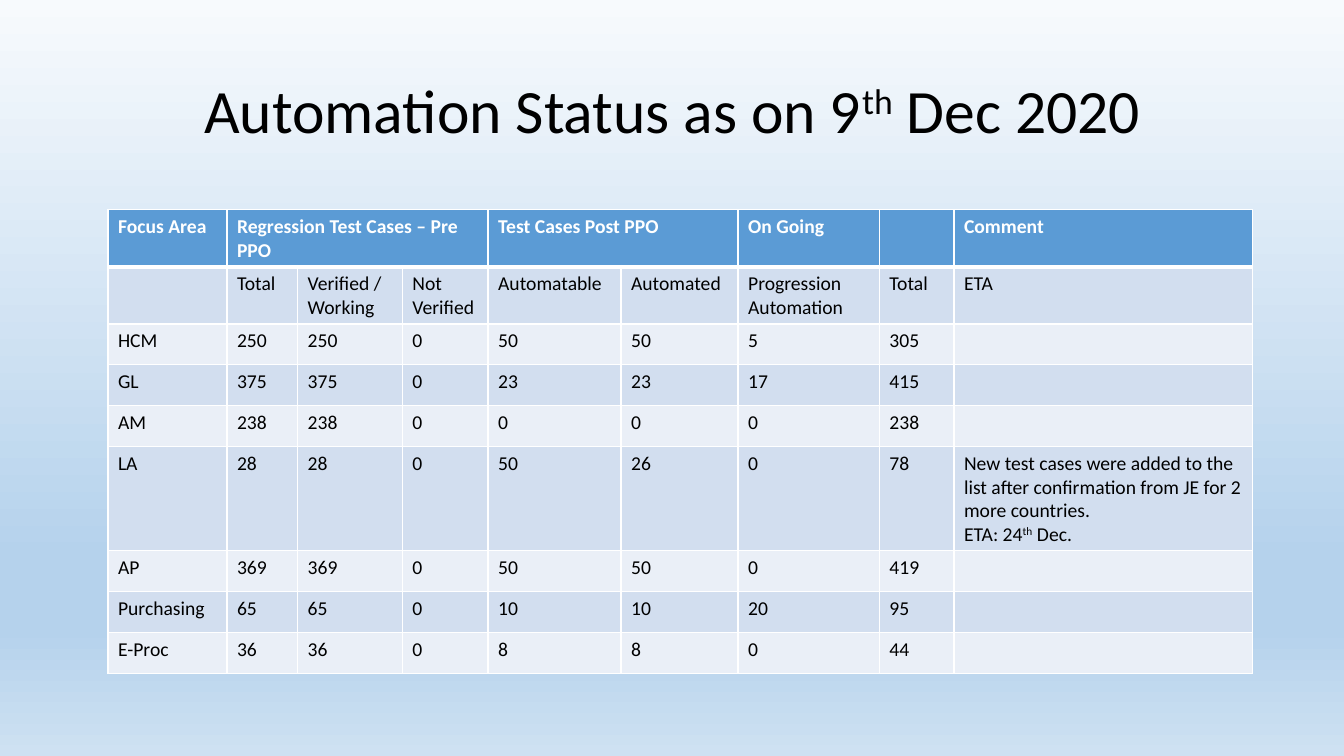
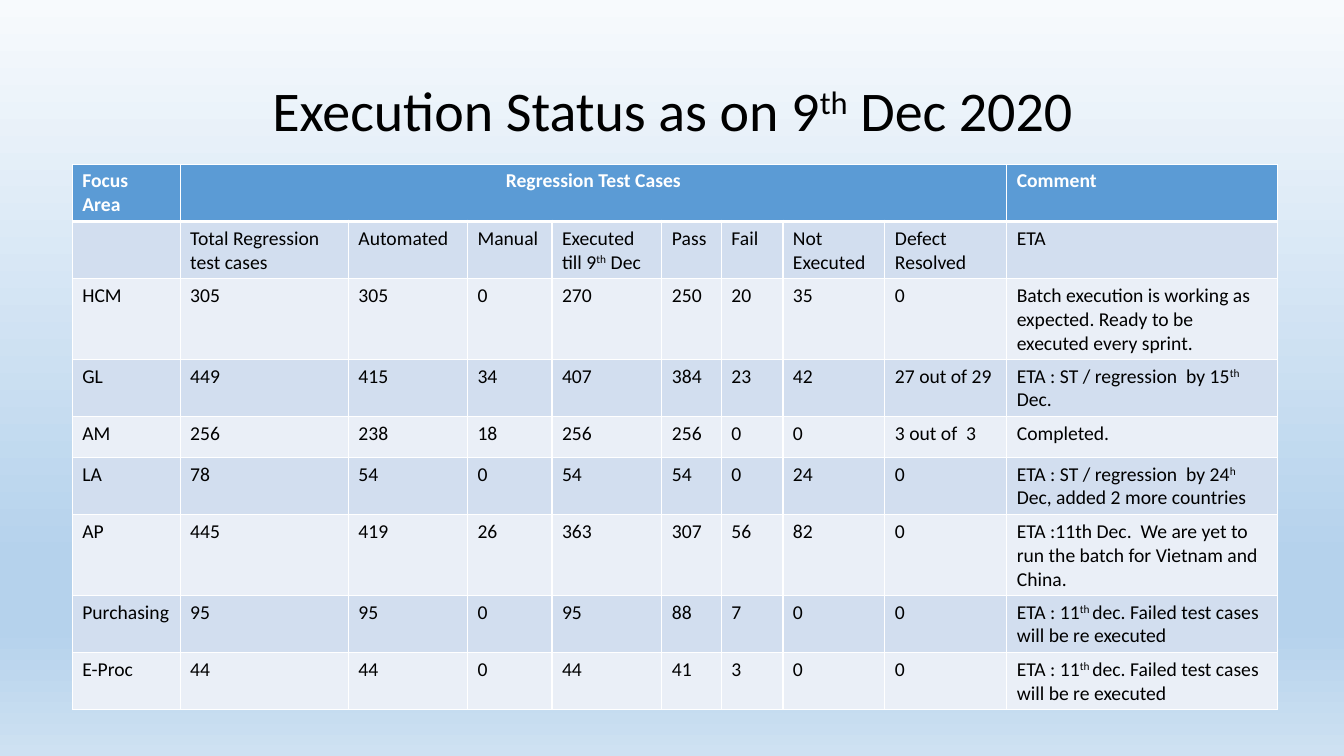
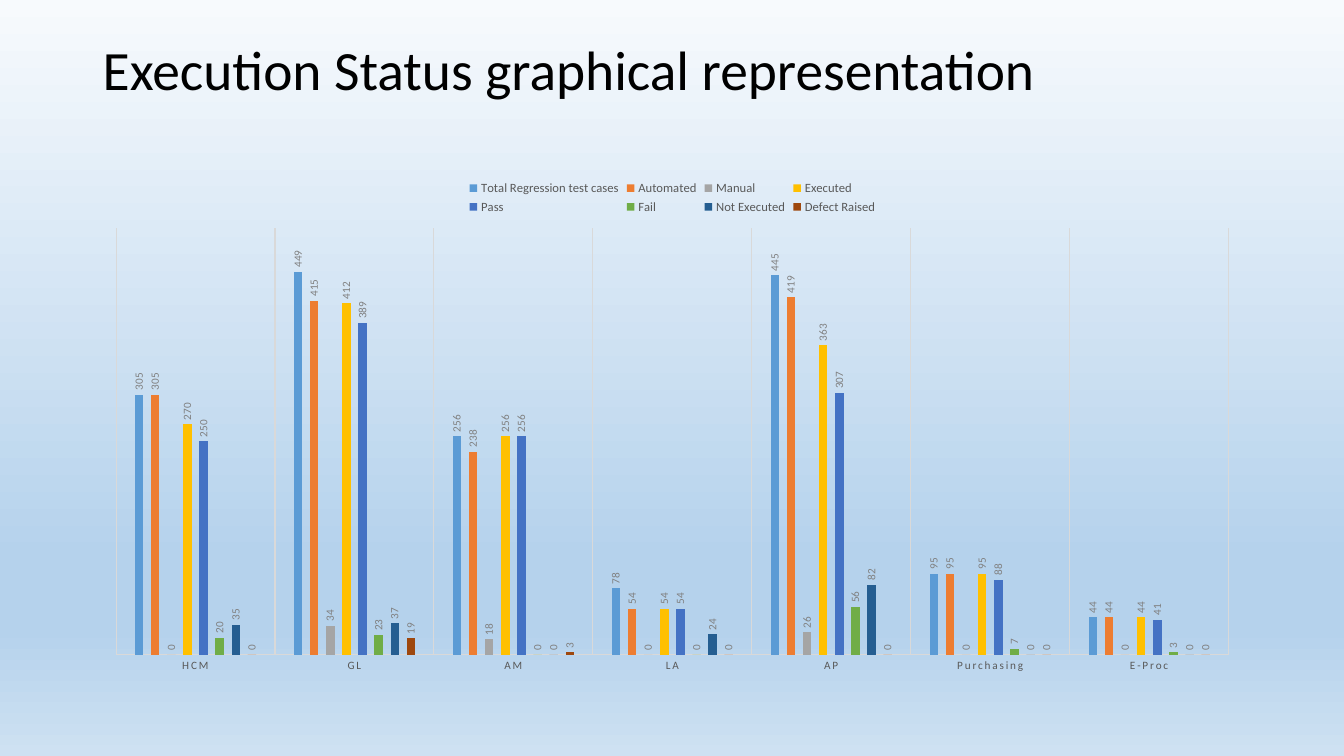
from dataclasses import dataclass

from lxml import etree
from pptx import Presentation
from pptx.chart.data import CategoryChartData
from pptx.dml.color import RGBColor
from pptx.enum.chart import XL_CHART_TYPE, XL_LABEL_POSITION, XL_LEGEND_POSITION, XL_TICK_MARK
from pptx.enum.text import MSO_ANCHOR, PP_ALIGN
from pptx.oxml.ns import qn
from pptx.util import Cm, Pt

LEFT, CENTER = PP_ALIGN.LEFT, PP_ALIGN.CENTER
MIDDLE = MSO_ANCHOR.MIDDLE
COLUMNS = XL_CHART_TYPE.COLUMN_CLUSTERED
OUTSIDE_END = XL_LABEL_POSITION.OUTSIDE_END
LEGEND_TOP = XL_LEGEND_POSITION.TOP
NO_TICKS = XL_TICK_MARK.NONE


@dataclass(frozen=True)
class Theme:
    """Colours, type sizes and rule widths of the presentation."""
    font: str = "Calibri"
    text: str = "000000"
    white: str = "FFFFFF"
    header: str = "5B9BD5"
    bands: tuple = ("D2DEEF", "EAEFF7")
    background: tuple = ((0, "F7FAFD"), (74, "B5D2EC"), (83, "B5D2EC"), (100, "CEE1F2"))
    series: tuple = ("5B9BD5", "ED7D31", "A5A5A5", "FFC000",
                     "4472C4", "70AD47", "255E91", "9E480E")
    axis_text: str = "595959"
    label_text: str = "808080"
    grid: str = "D9D9D9"
    table_size: float = 14
    chart_size: float = 10
    legend_size: float = 9
    label_size: float = 8
    rule: float = 1
    header_rule: float = 3
    grid_rule: float = 0.75


THEME = Theme()
TITLE_BOX = (2.34, 1.02, 29.21, 3.68)
ROW_HEIGHT = 1.03

AUTOMATION_WIDTHS = (3, 1.78, 2.64, 2.16, 3.35, 2.95, 3.56, 1.88, 7.52)
AUTOMATION_HEADER = (
    ("Focus Area", 1, LEFT), ("Regression Test Cases – Pre PPO", 3, LEFT),
    ("Test Cases Post PPO", 2, LEFT), ("On Going", 1, LEFT), ("", 1, LEFT),
    ("Comment", 1, LEFT),
)
AUTOMATION_ROWS = (
    ("", "Total", "Verified / Working", "Not Verified", "Automatable", "Automated",
     "Progression Automation", "Total", "ETA"),
    ("HCM", 250, 250, 0, 50, 50, 5, 305, ""),
    ("GL", 375, 375, 0, 23, 23, 17, 415, ""),
    ("AM", 238, 238, 0, 0, 0, 0, 238, ""),
    ("LA", 28, 28, 0, 50, 26, 0, 78,
     "New test cases were added to the list after confirmation from JE for 2 more "
     "countries.\nETA: 24^th^ Dec."),
    ("AP", 369, 369, 0, 50, 50, 0, 419, ""),
    ("Purchasing", 65, 65, 0, 10, 10, 20, 95, ""),
    ("E-Proc", 36, 36, 0, 8, 8, 0, 44, ""),
)

EXECUTION_WIDTHS = (2.72, 4.24, 3, 2.13, 2.77, 1.5, 1.55, 2.57, 3.07, 6.83)
EXECUTION_HEADER = (
    ("Focus Area", 1, LEFT), ("Regression Test Cases", 8, CENTER), ("Comment", 1, LEFT),
)
RERUN = "ETA : 11^th ^dec. Failed test cases will be re executed"
EXECUTION_ROWS = (
    ("", "Total Regression test cases", "Automated", "Manual", "Executed till 9^th^ Dec",
     "Pass", "Fail", "Not Executed", "Defect Resolved", "ETA"),
    ("HCM", 305, 305, 0, 270, 250, 20, 35, 0,
     "Batch execution is working as expected. Ready to be executed every sprint."),
    ("GL", 449, 415, 34, 407, 384, 23, 42, "27 out of 29",
     "ETA : ST / regression  by 15^th^ Dec."),
    ("AM", 256, 238, 18, 256, 256, 0, 0, "3 out of  3", "Completed."),
    ("LA", 78, 54, 0, 54, 54, 0, 24, 0,
     "ETA : ST / regression  by 24^h^ Dec, added 2 more countries"),
    ("AP", 445, 419, 26, 363, 307, 56, 82, 0,
     "ETA :11th Dec.  We are yet to run the batch for Vietnam and China."),
    ("Purchasing", 95, 95, 0, 95, 88, 7, 0, 0, RERUN),
    ("E-Proc", 44, 44, 0, 44, 41, 3, 0, 0, RERUN),
)

AREAS = ("HCM", "GL", "AM", "LA", "AP", "Purchasing", "E-Proc")
EXECUTION_SERIES = {
    "Total Regression test cases": (305, 449, 256, 78, 445, 95, 44),
    "Automated": (305, 415, 238, 54, 419, 95, 44),
    "Manual": (0, 34, 18, 0, 26, 0, 0),
    "Executed": (270, 412, 256, 54, 363, 95, 44),
    "Pass": (250, 389, 256, 54, 307, 88, 41),
    "Fail": (20, 23, 0, 0, 56, 7, 3),
    "Not Executed": (35, 37, 0, 24, 82, 0, 0),
    "Defect Raised": (0, 19, 3, 0, 0, 0, 0),
}


def set_values(target, values):
    """Set each named attribute of the target."""
    for name, value in values.items():
        setattr(target, name, value)


def set_font(font, size, color, bold=False):
    """Give a font the theme face with a size, colour and weight."""
    set_values(font, {"name": THEME.font, "size": Pt(size), "bold": bold})
    font.color.rgb = RGBColor.from_string(color)


def set_line(line, color, width):
    """Give a line a colour and a width in points."""
    line.color.rgb = RGBColor.from_string(color)
    line.width = Pt(width)


def add_color(parent, color):
    """Append an RGB colour element."""
    etree.SubElement(parent, qn("a:srgbClr"), val=color)


def write_text(frame, text, size, color, bold=False, **paragraph_format):
    """Write lines as paragraphs, raising the parts between carets."""
    for index, line in enumerate(text.split("\n")):
        paragraph = frame.add_paragraph() if index else frame.paragraphs[0]
        set_values(paragraph, paragraph_format)
        for position, part in enumerate(line.split("^")):
            if part:
                run = paragraph.add_run()
                run.text = part
                set_font(run.font, size, color, bold)
                if position % 2:
                    run.font._element.set("baseline", "30000")


def set_background(master):
    """Fill the master background with the vertical theme gradient."""
    fill = master.background.fill
    fill.gradient()
    fill.gradient_angle = 270
    stops = master.element.find(".//" + qn("a:gsLst"))
    for stop in list(stops):
        stops.remove(stop)
    for position, color in THEME.background:
        add_color(etree.SubElement(stops, qn("a:gs"), pos=str(position * 1000)), color)


def add_title(slide, box, text, size, alignment):
    """Place a vertically centred slide title in the box."""
    frame = slide.shapes.add_textbox(*map(Cm, box)).text_frame
    set_values(frame, {"word_wrap": True, "vertical_anchor": MIDDLE})
    write_text(frame, text, size, THEME.text, alignment=alignment, line_spacing=0.9)


def style_cell(cell, fill, top, bottom):
    """Give a cell white borders and a solid fill."""
    properties = cell._tc.get_or_add_tcPr()
    widths = {"a:lnL": THEME.rule, "a:lnR": THEME.rule, "a:lnT": top, "a:lnB": bottom}
    for tag, width in widths.items():
        border = etree.SubElement(properties, qn(tag), w=str(Pt(width)))
        add_color(etree.SubElement(border, qn("a:solidFill")), THEME.white)
    cell.fill.solid()
    cell.fill.fore_color.rgb = RGBColor.from_string(fill)


def add_status_table(slide, left, top, widths, header, rows):
    """Place a banded table with a merged header row at the given corner."""
    row_count = len(rows) + 1
    size = (sum(widths), ROW_HEIGHT * row_count)
    table = slide.shapes.add_table(row_count, len(widths), *map(Cm, (left, top, *size))).table
    set_values(table, {"first_row": False, "horz_banding": False})
    for column, width in zip(table.columns, widths):
        column.width = Cm(width)
    for index, row in enumerate(table.rows):
        row.height = Cm(ROW_HEIGHT)
        fill = THEME.bands[(index - 1) % 2] if index else THEME.header
        upper = THEME.header_rule if index == 1 else THEME.rule
        lower = THEME.rule if index else THEME.header_rule
        for cell in row.cells:
            style_cell(cell, fill, upper, lower)
    start = 0
    for text, span, alignment in header:
        cell = table.cell(0, start)
        if span > 1:
            cell.merge(table.cell(0, start + span - 1))
        write_text(cell.text_frame, text, THEME.table_size, THEME.white, True,
                   alignment=alignment)
        start += span
    for row_index, values in enumerate(rows, 1):
        for column_index, value in enumerate(values):
            write_text(table.cell(row_index, column_index).text_frame, str(value),
                       THEME.table_size, THEME.text)


def style_series(series, color):
    """Colour a series and give it upright value labels."""
    series.format.fill.solid()
    series.format.fill.fore_color.rgb = RGBColor.from_string(color)
    series.invert_if_negative = False
    labels = series.data_labels
    set_values(labels, {"show_value": True, "position": OUTSIDE_END})
    set_font(labels.font, THEME.label_size, THEME.label_text)
    body = labels._element.find(".//" + qn("a:bodyPr"))
    body.set("rot", "-5400000")
    body.set("vert", "horz")


def add_execution_chart(slide, box):
    """Place the clustered column chart of execution results in the box."""
    data = CategoryChartData()
    data.categories = AREAS
    for name, values in EXECUTION_SERIES.items():
        data.add_series(name, values)
    chart = slide.shapes.add_chart(COLUMNS, *map(Cm, box), data).chart
    set_values(chart, {"has_title": False, "has_legend": True})
    set_font(chart.font, THEME.chart_size, THEME.text)
    set_values(chart.legend, {"position": LEGEND_TOP, "include_in_layout": False})
    set_font(chart.legend.font, THEME.legend_size, THEME.axis_text)
    set_values(chart.plots[0], {"gap_width": 444, "overlap": -90, "vary_by_categories": False})
    for series, color in zip(chart.plots[0].series, THEME.series):
        style_series(series, color)
    set_values(chart.value_axis, {"visible": False, "has_major_gridlines": False,
                                  "minimum_scale": 0, "maximum_scale": 500})
    axis = chart.category_axis
    set_values(axis, {"major_tick_mark": NO_TICKS, "has_major_gridlines": True})
    set_font(axis.tick_labels.font, THEME.label_size, THEME.axis_text)
    axis.tick_labels.font._element.set("spc", "120")
    for line in (axis.format.line, axis.major_gridlines.format.line):
        set_line(line, THEME.grid, THEME.grid_rule)


def build():
    """Build and save the status presentation."""
    presentation = Presentation()
    set_values(presentation, {"slide_width": Cm(33.87), "slide_height": Cm(19.05)})
    set_background(presentation.slide_master)
    automation, execution, graph = (
        presentation.slides.add_slide(presentation.slide_layouts[6]) for _ in range(3))

    add_title(automation, TITLE_BOX, "Automation Status as on 9^th^ Dec 2020", 44, CENTER)
    add_status_table(automation, 2.72, 5.28, AUTOMATION_WIDTHS, AUTOMATION_HEADER,
                     AUTOMATION_ROWS)

    add_title(execution, TITLE_BOX, "Execution Status as on 9^th^ Dec 2020", 40, CENTER)
    add_status_table(execution, 1.82, 4.14, EXECUTION_WIDTHS, EXECUTION_HEADER,
                     EXECUTION_ROWS)

    add_title(graph, (*TITLE_BOX[:3], 1.63), "Execution Status graphical representation",
              39.6, LEFT)
    add_execution_chart(graph, (2.34, 4.27, 29.21, 12.93))
    presentation.save("out.pptx")


build()
